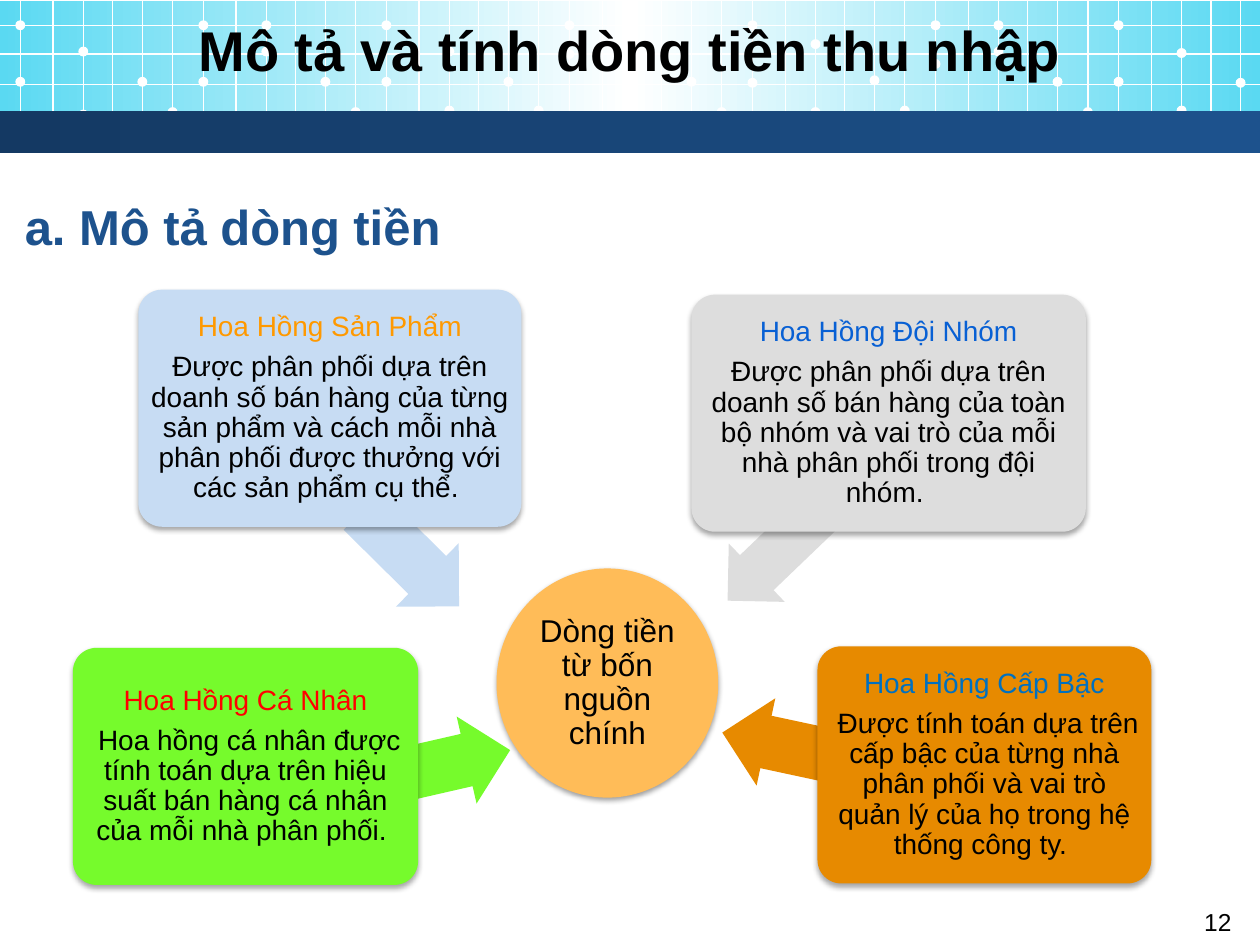
"""Build a slide on four income sources that feed one cash flow."""
from dataclasses import dataclass
from itertools import product

from lxml.etree import SubElement
from pptx import Presentation
from pptx.dml.color import RGBColor
from pptx.enum.shapes import MSO_CONNECTOR, MSO_SHAPE
from pptx.enum.text import MSO_ANCHOR, PP_ALIGN
from pptx.oxml.ns import qn
from pptx.util import Cm, Pt


@dataclass(frozen=True)
class Theme:
    """Hold the colours, font and type sizes."""
    font: str = "Arial"
    ink: str = "000000"
    white: str = "FFFFFF"
    cyan: str = "5AD9F2"
    navy: str = "143963"
    blue: str = "1D528D"
    amber: str = "FFBC58"
    grey: str = "DDDDDD"
    pale: str = "C7DCF3"
    green: str = "76FB2C"
    orange: str = "E78A00"
    title: int = 32
    head: int = 28
    hub: int = 18
    body: int = 16
    small: int = 14


THEME = Theme()
WIDE, HIGH = 25.4, 19.05
START, PITCH = 0.41, 3.69
STEPS = (0, 0.66, 1.27, 1.86, 2.46, 3.07)
ROWS = (0.51, 1.09, 1.7, 2.26)
DOT, TOP = 0.2, 0.41
DOTS = (
    (1.55, 0.94, 2.21, 1.55, 2.16),
    (1.55, 0.94, TOP, 1.55, 2.16),
    (1.55, 0.94, 2.13, 1.55, 2.13),
    (0.99, 0.97, TOP, 1.55, 2.16),
    (1.57, 0.79, 2.16, 1.52, 2.13),
    (1.19, 0.94, TOP, 1.55, 2.16),
    (1.55, 0.97, 2.13, 1.57),
)
CARDS = (
    ((13.94, 5.94, 7.95, 4.78), (14.12, 9.93, 3.94, 1.63), 316.2,
     THEME.grey, "0860D4", "Hoa Hồng Đội Nhóm",
     "Được phân phối dựa trên doanh số bán hàng của toàn bộ nhóm "
     "và vai trò của mỗi nhà phân phối trong đội nhóm. "),
    ((2.79, 5.84, 7.72, 4.78), (6.91, 10.36, 2.74, 1.8), 224.7,
     THEME.pale, "FF9900", "Hoa Hồng Sản Phẩm",
     "Được phân phối dựa trên doanh số bán hàng của từng sản phẩm và "
     "cách mỗi nhà phân phối được thưởng với các sản phẩm cụ thể. "),
    ((1.47, 13.06, 6.96, 4.78), (7.37, 14.55, 2.95, 1.8), 167.1,
     THEME.green, "FF0000", "Hoa Hồng Cá Nhân",
     " Hoa hồng cá nhân được tính toán dựa trên hiệu suất bán hàng "
     "cá nhân của mỗi nhà phân phối. "),
    ((16.48, 13.03, 6.73, 4.78), (14.5, 14.45, 5.54, 1.8), 12.1,
     THEME.orange, "0070C0", "Hoa Hồng Cấp Bậc",
     " Được tính toán dựa trên cấp bậc của từng nhà phân phối và vai trò "
     "quản lý của họ trong hệ thống công ty. "),
)


def tint(text):
    """Turn a hex string into a colour."""
    return RGBColor.from_string(text)


def add_form(slide, kind, box, fill=None):
    """Add a preset shape with no outline and no shadow."""
    form = slide.shapes.add_shape(kind, *map(Cm, box))
    form.shadow.inherit = False
    form.line.fill.background()
    if fill:
        form.fill.solid()
        form.fill.fore_color.rgb = tint(fill)
    return form


def add_blend(slide, box, hues):
    """Add a bar whose colours blend from left to right."""
    bar = add_form(slide, MSO_SHAPE.RECTANGLE, box)
    bar.fill.gradient()
    bar.fill.gradient_angle = 0
    stops = bar._element.spPr.find(".//" + qn("a:gsLst"))
    stops.clear()
    for i, hue in enumerate(hues):
        stop = SubElement(stops, qn("a:gs"), pos=str(100000 * i // (len(hues) - 1)))
        SubElement(stop, qn("a:srgbClr"), val=hue)


def add_line(slide, *ends):
    """Add a thin white grid line."""
    line = slide.shapes.add_connector(MSO_CONNECTOR.STRAIGHT, *map(Cm, ends))
    line.line.color.rgb = tint(THEME.white)
    line.line.width = Pt(0.75)
    SubElement(line._element.spPr, qn("a:effectLst"))


def add_shade(form, dist, alpha):
    """Cast a soft shadow straight down."""
    glow = form._element.spPr.find(qn("a:effectLst"))
    cast = SubElement(glow, qn("a:outerShdw"), blurRad="40000", dist=str(dist),
                      dir="5400000", rotWithShape="0")
    hue = SubElement(cast, qn("a:srgbClr"), val=THEME.ink)
    SubElement(hue, qn("a:alpha"), val=str(alpha * 1000))


def add_run(para, text, size, hue, bold=False):
    """Add one run of styled text."""
    run = para.add_run()
    run.text = text
    run.font.name = THEME.font
    run.font.size = Pt(size)
    run.font.bold = bold
    run.font.color.rgb = tint(hue)


def add_label(slide, box, text, size, hue, bold=False,
              align=PP_ALIGN.CENTER, anchor=MSO_ANCHOR.TOP):
    """Add a text box with one line."""
    frame = slide.shapes.add_textbox(*map(Cm, box)).text_frame
    frame.word_wrap = True
    frame.vertical_anchor = anchor
    para = frame.paragraphs[0]
    para.alignment = align
    add_run(para, text, size, hue, bold)


def fill_text(form, pad, size, parts):
    """Write centred paragraphs inside a shape."""
    frame = form.text_frame
    frame.word_wrap = True
    frame.vertical_anchor = MSO_ANCHOR.MIDDLE
    frame.margin_left = frame.margin_right = Cm(pad)
    frame.margin_top = frame.margin_bottom = Cm(pad)
    for i, (text, hue) in enumerate(parts):
        para = frame.add_paragraph() if i else frame.paragraphs[0]
        para.alignment = PP_ALIGN.CENTER
        para.line_spacing = 0.9
        after = SubElement(para._p.get_or_add_pPr(), qn("a:spcAft"))
        SubElement(after, qn("a:spcPct"), val="35000")
        add_run(para, text, size, hue)


def add_banner(slide):
    """Draw the header band with its grid, dots and bar."""
    add_blend(slide, (0, 0.03, WIDE, 2.59), (THEME.cyan, THEME.white, THEME.cyan))
    for i, step in product(range(len(DOTS)), STEPS):
        x = START + PITCH * i + step
        if x < WIDE:
            add_line(slide, x, 0, x, 2.79)
    for y in ROWS:
        add_line(slide, 0, y, WIDE, y)
    spots = (STEPS[0], STEPS[2], STEPS[2], STEPS[4], STEPS[5])
    for i, tops in enumerate(DOTS):
        for step, y in ((0, TOP), *zip(spots, tops)):
            x = START + PITCH * i + step - DOT / 2
            add_form(slide, MSO_SHAPE.OVAL, (x, y, DOT, DOT), THEME.white)
    add_blend(slide, (0, 2.24, WIDE, 0.84), (THEME.navy, THEME.blue))


def add_hub(slide):
    """Draw the circle in the centre."""
    hub = add_form(slide, MSO_SHAPE.OVAL, (10.01, 11.46, 4.47, 4.62), THEME.amber)
    add_shade(hub, 20000, 38)
    fill_text(hub, 0.03, THEME.hub, [("Dòng tiền từ bốn nguồn chính", THEME.ink)])


def add_card(slide, box, aim, turn, fill, hue, name, text):
    """Draw a source card and its arrow to the hub."""
    arrow = add_form(slide, MSO_SHAPE.LEFT_ARROW, aim, fill)
    arrow.rotation = turn
    arrow.adjustments[0] = 0.6
    arrow.adjustments[1] = 0.5
    card = add_form(slide, MSO_SHAPE.ROUNDED_RECTANGLE, box, fill)
    card.adjustments[0] = 0.1
    add_shade(card, 23000, 35)
    fill_text(card, 0.08, THEME.body, [(name, hue), (text, THEME.ink)])


def main():
    """Build and save the slide."""
    deck = Presentation()
    deck.slide_width, deck.slide_height = Cm(WIDE), Cm(HIGH)
    slide = deck.slides.add_slide(deck.slide_layouts[6])
    add_banner(slide)
    add_label(slide, (23.7, 18.16, 1.7, 0.89), "12", THEME.small, THEME.ink)
    add_label(slide, (0, 0.2, WIDE, 1.57), "Mô tả và tính dòng tiền thu nhập",
              THEME.title, THEME.ink, True, anchor=MSO_ANCHOR.MIDDLE)
    add_label(slide, (0.25, 3.84, 14.86, 1.45), "a. Mô tả dòng tiền",
              THEME.head, THEME.blue, True, PP_ALIGN.LEFT)
    add_hub(slide)
    for card in CARDS:
        add_card(slide, *card)
    deck.save("out.pptx")


if __name__ == "__main__":
    main()
